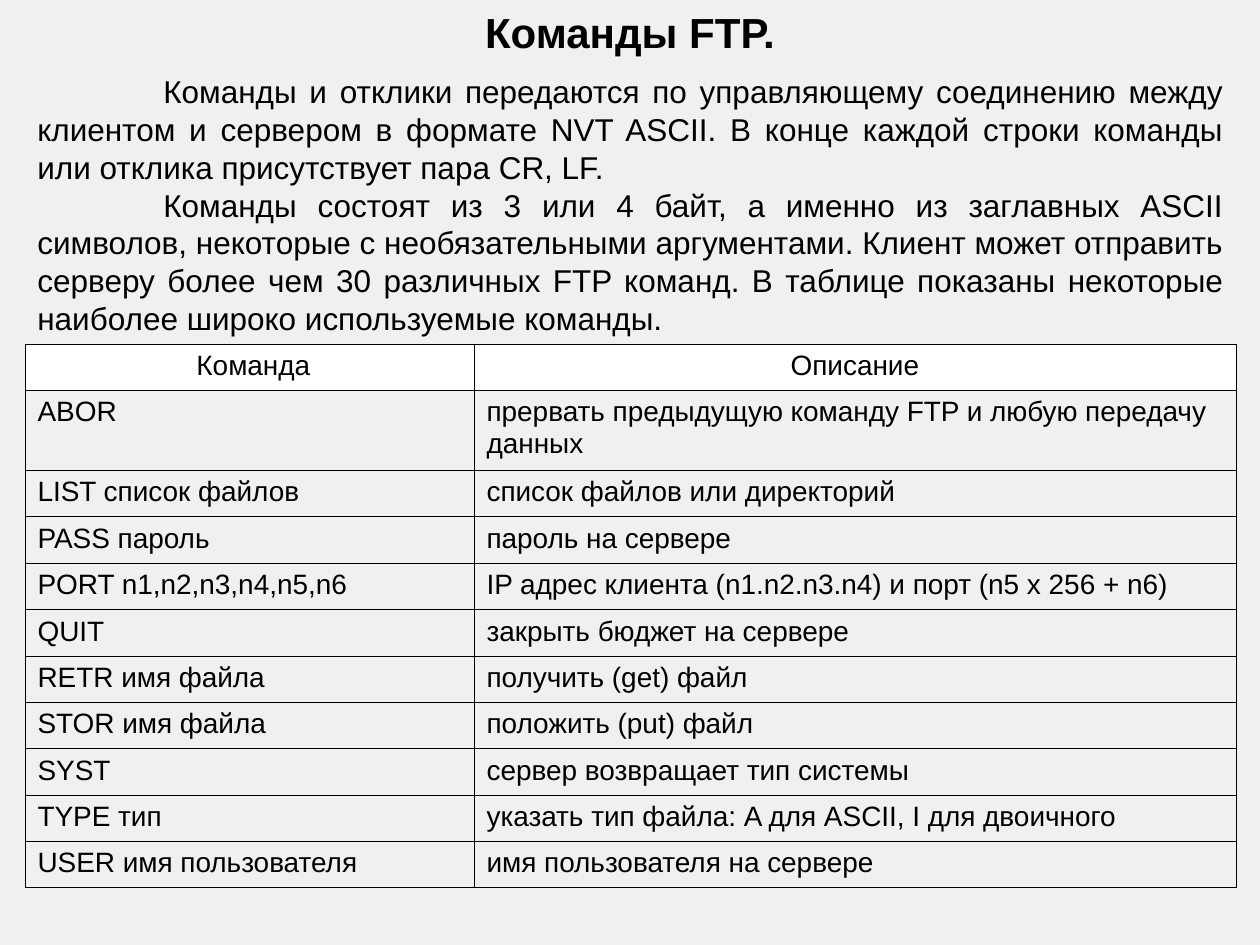
from pptx import Presentation, util as u
from pptx.dml.color import RGBColor
from pptx.enum import text
from pptx.oxml import parse_xml
from pptx.oxml.ns import nsdecls

TITLE = "Команды FTP."
INTRO = [
    "Команды и отклики передаются по управляющему соединению между клиентом "
    "и сервером в формате NVT ASCII. В конце каждой строки команды или отклика "
    "присутствует пара CR, LF.",
    "Команды состоят из 3 или 4 байт, а именно из заглавных ASCII символов, "
    "некоторые с необязательными аргументами. Клиент может отправить серверу "
    "более чем 30 различных FTP команд. В таблице показаны некоторые наиболее "
    "широко используемые команды.",
]
COMMANDS = [
    ("\u00a0Команда", "Описание"),
    ("ABOR", "прервать предыдущую команду FTP и любую передачу данных"),
    ("LIST список файлов", "список файлов или директорий"),
    ("PASS пароль", "пароль на сервере"),
    ("PORT n1,n2,n3,n4,n5,n6", "IP адрес клиента (n1.n2.n3.n4) и порт (n5 x 256 + n6)"),
    ("QUIT", "закрыть бюджет на сервере"),
    ("RETR имя файла", "получить (get) файл"),
    ("STOR имя файла", "положить (put) файл"),
    ("SYST", "сервер возвращает тип системы"),
    ("TYPE тип", "указать тип файла: A для ASCII, I для двоичного"),
    ("USER имя пользователя", "имя пользователя на сервере"),
]
LEFT, WIDTH = 25, 1211
TABLE_TOP, TABLE_HEIGHT = 344, 544
COLUMNS = (449, 762)
TALL_ROW, TALL_HEIGHT = 1, 80
BORDER = 0.45
ALIGN = text.PP_ALIGN


def px(n):
    return round(n * 914400 / 126)


def color(value):
    return RGBColor.from_string(value)


def format_text(tf, size, align, bold=False, indent=0):
    for p in tf.paragraphs:
        p.alignment = align
        if indent:
            p._p.get_or_add_pPr().set("indent", str(px(indent)))
        for r in p.runs:
            r.font.name = "Arial"
            r.font.size = u.Pt(size)
            r.font.bold = bold
            r.font.color.rgb = color("000000")


def add_text(s, box, content, size, align, bold=False, indent=0):
    tf = s.shapes.add_textbox(*map(px, box)).text_frame
    tf.word_wrap = True
    tf.text = content
    format_text(tf, size, align, bold, indent)


def add_borders(cell):
    tcPr = cell._tc.get_or_add_tcPr()
    for i, side in enumerate(("lnL", "lnR", "lnT", "lnB")):
        tcPr.insert(i, parse_xml(
            f'<a:{side} {nsdecls("a")} w="{u.Pt(BORDER)}"><a:solidFill>'
            f'<a:srgbClr val="000000"/></a:solidFill></a:{side}>'))


def add_commands(s):
    table = s.shapes.add_table(
        len(COMMANDS), len(COLUMNS), px(LEFT), px(TABLE_TOP),
        px(WIDTH), px(TABLE_HEIGHT)).table
    table.horz_banding = False
    for column, width in zip(table.columns, COLUMNS):
        column.width = px(width)
    row_height = (TABLE_HEIGHT - TALL_HEIGHT) / (len(COMMANDS) - 1)
    for i, values in enumerate(COMMANDS):
        table.rows[i].height = px(TALL_HEIGHT if i == TALL_ROW else row_height)
        for j, value in enumerate(values):
            cell = table.cell(i, j)
            cell.text_frame.text = value
            format_text(cell.text_frame, 16, ALIGN.LEFT if i else ALIGN.CENTER)
            if i:
                cell.fill.background()
            else:
                cell.fill.solid()
                cell.fill.fore_color.rgb = color("FFFFFF")
            add_borders(cell)


prs = Presentation()
prs.slide_width, prs.slide_height = px(1260), px(945)
s = prs.slides.add_slide(prs.slide_layouts[6])
s.background.fill.solid()
s.background.fill.fore_color.rgb = color("F0F0F1")
add_text(s, (0, 0, 1260, 63), TITLE, 24, ALIGN.CENTER, bold=True)
add_text(s, (LEFT, 66, WIDTH, 277), "\n".join(INTRO), 18, ALIGN.JUSTIFY, indent=126)
add_commands(s)
prs.save("out.pptx")
